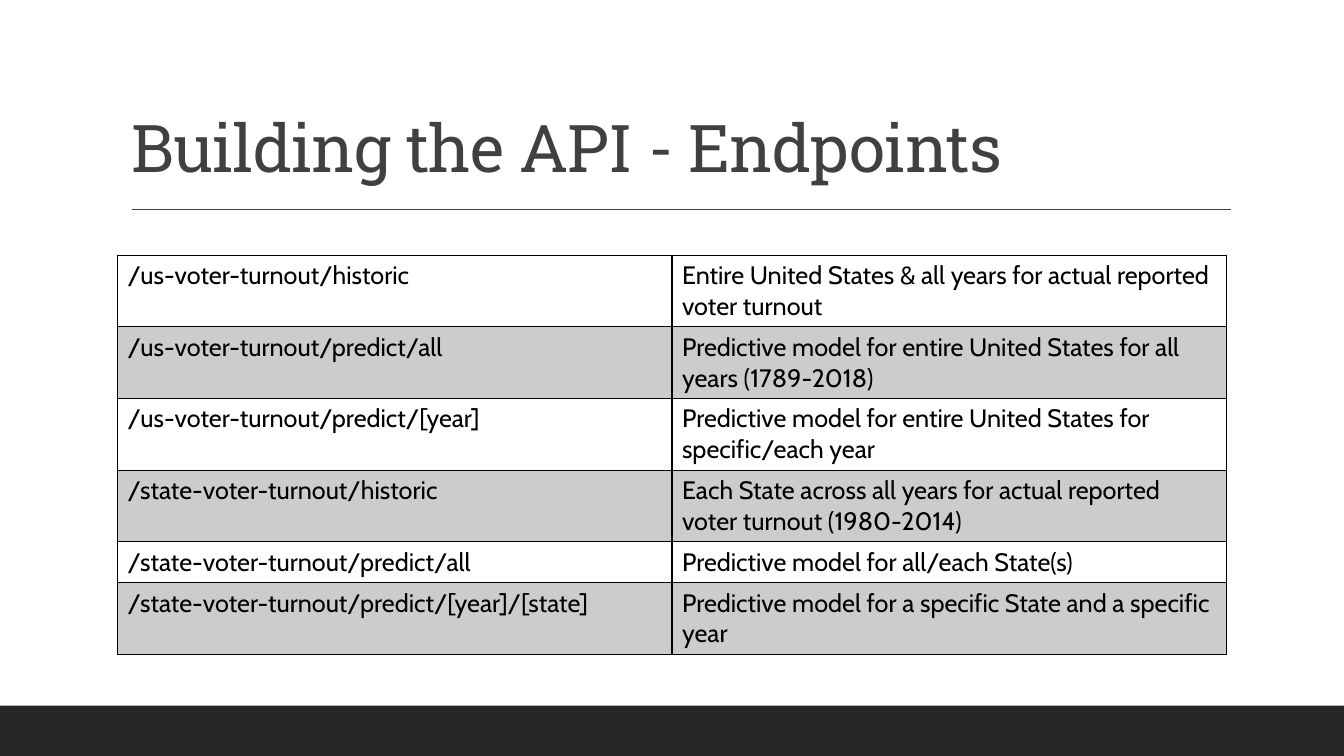
from lxml import etree
from pptx import Presentation
from pptx.dml.color import RGBColor
from pptx.enum.shapes import MSO_CONNECTOR, MSO_SHAPE
from pptx.enum.text import MSO_ANCHOR, MSO_AUTO_SIZE, PP_ALIGN
from pptx.oxml.ns import qn
from pptx.util import Pt

RECT = MSO_SHAPE.RECTANGLE
STRAIGHT = MSO_CONNECTOR.STRAIGHT
BOTTOM = MSO_ANCHOR.BOTTOM
NO_AUTOFIT = MSO_AUTO_SIZE.NONE
LEFT = PP_ALIGN.LEFT

ENDPOINTS = [
    ("/us-voter-turnout/historic",
     "Entire United States & all years for actual reported voter turnout"),
    ("/us-voter-turnout/predict/all",
     "Predictive model for entire United States for all years (1789-2018)"),
    ("/us-voter-turnout/predict/[year]",
     "Predictive model for entire United States for specific/each year"),
    ("/state-voter-turnout/historic",
     "Each State across all years for actual reported voter turnout (1980-2014)"),
    ("/state-voter-turnout/predict/all",
     "Predictive model for all/each State(s)"),
    ("/state-voter-turnout/predict/[year]/[state]",
     "Predictive model for a specific State and a specific year"),
]


def rgb(color):
    return RGBColor.from_string(color)


class Deck:
    HEAD_FONT, BODY_FONT = "Roboto Slab", "Cabin"
    GRAY, DARK, BLACK, BAND = "404040", "262626", "000000", "CCCCCC"

    def __init__(self, prs):
        self.slide = prs.slides.add_slide(prs.slide_layouts[5])

    def run(self, p, text, font, size, color):
        r = p.add_run()
        r.text = text
        r.font.name = font
        r.font.size = Pt(size)
        r.font.color.rgb = rgb(color)
        return r

    def bar(self, x, y, w, h):
        sp = self.slide.shapes.add_shape(RECT, Pt(x), Pt(y), Pt(w), Pt(h))
        sp.shadow.inherit = False
        sp.fill.solid()
        sp.fill.fore_color.rgb = rgb(self.DARK)
        sp.line.fill.background()

    def rule(self, x1, x2, y):
        line = self.slide.shapes.add_connector(STRAIGHT, Pt(x1), Pt(y), Pt(x2), Pt(y))
        line.line.color.rgb = rgb(self.GRAY)
        line.line.width = Pt(1)
        etree.SubElement(line._element.spPr, qn("a:effectLst"))

    def title(self, text, x, y, w, h):
        sp = self.slide.shapes.title
        sp.left, sp.top, sp.width, sp.height = Pt(x), Pt(y), Pt(w), Pt(h)
        tf = sp.text_frame
        tf.word_wrap = True
        tf.auto_size = NO_AUTOFIT
        tf.vertical_anchor = BOTTOM
        p = tf.paragraphs[0]
        p.alignment = LEFT
        p.line_spacing = 0.9
        r = self.run(p, text, self.HEAD_FONT, 47, self.GRAY)
        r.font._element.set("spc", "-50")

    def borders(self, cell):
        tc_pr = cell._tc.get_or_add_tcPr()
        for side in ("lnL", "lnR", "lnT", "lnB"):
            ln = etree.SubElement(tc_pr, qn(f"a:{side}"), w=str(Pt(1)))
            fill = etree.SubElement(ln, qn("a:solidFill"))
            etree.SubElement(fill, qn("a:srgbClr"), val=self.BLACK)

    def table(self, rows, x, y, w, row_h):
        """Draw a bordered table with every second row shaded."""
        cols = len(rows[0])
        table = self.slide.shapes.add_table(
            len(rows), cols, Pt(x), Pt(y), Pt(w), Pt(row_h * len(rows))).table
        table.first_row = table.horz_banding = False
        for i, row in enumerate(rows):
            for j, text in enumerate(row):
                cell = table.cell(i, j)
                self.borders(cell)
                if i % 2:
                    cell.fill.solid()
                    cell.fill.fore_color.rgb = rgb(self.BAND)
                else:
                    cell.fill.background()
                p = cell.text_frame.paragraphs[0]
                self.run(p, text, self.BODY_FONT, 18, self.BLACK)


def main():
    prs = Presentation()
    prs.slide_width, prs.slide_height = Pt(960), Pt(540)
    deck = Deck(prs)
    deck.bar(0, 504, 960, 36)
    deck.rule(94.3, 879, 149.5)
    deck.title("Building the API - Endpoints", 86.4, 22.5, 792, 114.2)
    deck.table(ENDPOINTS, 84, 182.3, 792, 29.2)
    prs.save("out.pptx")


if __name__ == "__main__":
    main()
